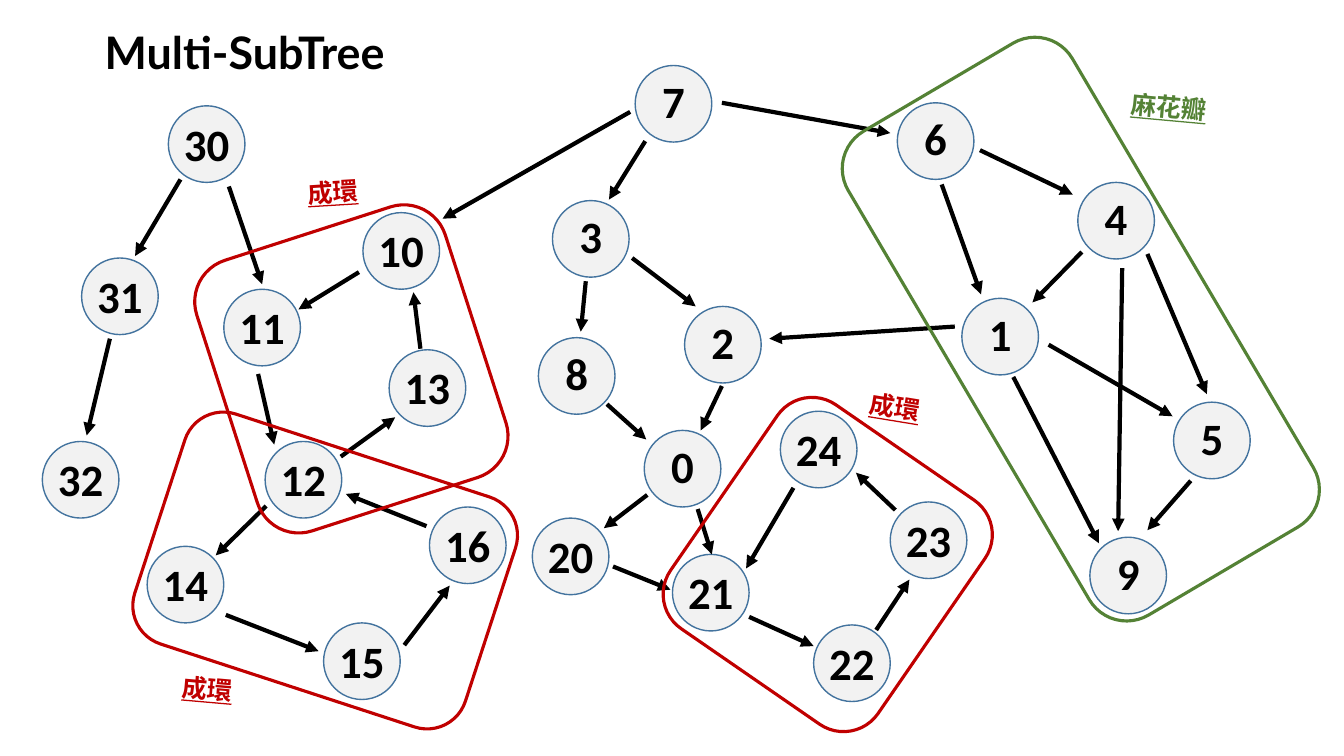
"""Build the Multi-SubTree graph slide."""
from dataclasses import dataclass

from lxml import etree
from pptx import Presentation
from pptx.dml.color import RGBColor
from pptx.enum.shapes import MSO_CONNECTOR, MSO_SHAPE
from pptx.enum.text import MSO_ANCHOR, MSO_AUTO_SIZE, PP_ALIGN
from pptx.oxml.ns import qn
from pptx.util import Inches, Pt

ELLIPSE = MSO_SHAPE.OVAL
ROUNDED = MSO_SHAPE.ROUNDED_RECTANGLE
STRAIGHT = MSO_CONNECTOR.STRAIGHT
MIDDLE = MSO_ANCHOR.MIDDLE
FIT_TEXT = MSO_AUTO_SIZE.SHAPE_TO_FIT_TEXT
CENTER = PP_ALIGN.CENTER
LEFT = PP_ALIGN.LEFT

SLIDE_WIDTH, SLIDE_HEIGHT = Inches(13.33), Inches(7.5)
COLUMNS, ROWS = 133.3, 75
NODE_SIZE = 7.6


@dataclass(frozen=True)
class Theme:
    """Colours, fonts and sizes of the slide."""
    ink: RGBColor = RGBColor(0, 0, 0)
    node_fill: RGBColor = RGBColor(0xF2, 0xF2, 0xF2)
    node_line: RGBColor = RGBColor(0x43, 0x73, 0x9E)
    ring: RGBColor = RGBColor(0xC0, 0, 0)
    petal: RGBColor = RGBColor(0x54, 0x82, 0x35)
    title_font: str = "Lato"
    node_font: str = "Calibri"
    label_font: str = "Noto Sans CJK SC"
    large: Pt = Pt(32)
    small: Pt = Pt(18)
    node_width: Pt = Pt(1)
    region_width: Pt = Pt(2.25)
    arrow_width: Pt = Pt(3)


THEME = Theme()

NODES = {
    "7": (63, 6.5), "3": (54.8, 19.9), "8": (53.4, 33.5), "2": (67.9, 30.4),
    "0": (63.9, 42.7), "6": (89, 10.2), "1": (95.4, 29.6), "4": (106.9, 18.1),
    "5": (116.4, 39.9), "9": (108.1, 53.3), "10": (36, 21.1), "11": (22.2, 28.7),
    "12": (26.3, 43.8), "13": (38.6, 34.7), "14": (14.6, 54.2), "15": (32.1, 61.8),
    "16": (42.6, 50.3), "20": (52.8, 51.4), "21": (66.7, 55), "22": (80.7, 62),
    "23": (88.3, 49.8), "24": (77.4, 40.8), "30": (16.7, 10.5), "31": (8.1, 25.6),
    "32": (4.2, 43.8),
}

ARROWS = {
    ("7", "3"): (64, 14, 60.4, 19.8),
    ("7", "10"): (62.5, 11.1, 43.9, 21.7),
    ("7", "6"): (71.6, 10.2, 88.3, 13.2),
    ("10", "11"): (35.6, 27, 29.6, 30.7),
    ("13", "10"): (41.7, 34.6, 41, 29),
    ("11", "12"): (25.6, 37.1, 27.2, 44.1),
    ("12", "13"): (33.8, 45.3, 39.2, 41.4),
    ("12", "14"): (26.4, 50.2, 21.4, 55.1),
    ("14", "15"): (22.4, 61, 31.6, 64.6),
    ("15", "16"): (40.1, 64, 44.6, 58.1),
    ("16", "12"): (42.3, 52.2, 34.3, 49),
    ("3", "8"): (58.1, 27.9, 57.6, 32.9),
    ("3", "2"): (62.7, 25.6, 69, 30.4),
    ("8", "0"): (60.2, 40.1, 64.1, 43.6),
    ("2", "0"): (71.6, 38.3, 69.5, 42.7),
    ("0", "20"): (64.2, 49.1, 59.9, 52.4),
    ("20", "21"): (60.8, 56.2, 66.5, 58.5),
    ("0", "21"): (69.2, 50.5, 70.6, 55),
    ("21", "22"): (74.3, 61.2, 80.7, 64.1),
    ("22", "23"): (86.9, 62.5, 90.2, 57.5),
    ("23", "24"): (88.8, 50.6, 84.9, 46.9),
    ("24", "21"): (78.7, 48.4, 74, 56.4),
    ("6", "4"): (97.2, 14.9, 106.4, 19.3),
    ("6", "1"): (93.4, 18.3, 97.3, 29.2),
    ("1", "9"): (100.5, 37.4, 109, 53.9),
    ("1", "5"): (104, 34.2, 116.3, 41.3),
    ("1", "2"): (94.7, 32.4, 76.3, 33.6),
    ("4", "5"): (113.8, 25.2, 119.7, 39.1),
    ("5", "9"): (118.1, 47.7, 113.8, 52.6),
    ("4", "9"): (111.3, 26.6, 110.9, 52.7),
    ("4", "1"): (107.3, 25, 102.4, 30),
    ("30", "11"): (22.7, 18.5, 26, 28.2),
    ("30", "31"): (17.9, 17.8, 13.4, 25.4),
    ("31", "32"): (10.9, 33.6, 8.6, 43.2),
}

REGIONS = [
    ((15, 44.6, 34.5, 24), 18.1, THEME.ring),
    ((21.9, 22.5, 25.9, 28.2), 342.1, THEME.ring),
    ((68.6, 43.5, 27, 25), 304.6, THEME.ring),
    ((94.3, 4.8, 25.8, 55.7), 329.5, THEME.petal),
]

LABELS = [
    ("麻花瓣", (111.2, 8.6, 9.6, 4), 5.3, THEME.petal),
    ("成環", (29.5, 17, 7.1, 4), 356.5, THEME.ring),
    ("成環", (85.3, 38.4, 7.1, 4), 9.3, THEME.ring),
    ("成環", (17.1, 66.3, 7.1, 4), 5, THEME.ring),
]


def place(box):
    """Turn pairs of grid columns and rows into slide lengths."""
    shares = (SLIDE_WIDTH / COLUMNS, SLIDE_HEIGHT / ROWS) * 2
    return [round(cells * share) for cells, share in zip(box, shares)]


def write(shape, text, font_name, size, color, alignment=LEFT, underline=None):
    """Put one bold line of text in a shape."""
    frame = shape.text_frame
    frame.text = text
    frame.word_wrap = False
    paragraph = frame.paragraphs[0]
    paragraph.alignment = alignment
    run = paragraph.runs[0]
    font = run.font
    font.name, font.size, font.bold, font.underline = font_name, size, True, underline
    font.color.rgb = color
    east_asian = etree.SubElement(run._r.get_or_add_rPr(), qn("a:ea"))
    east_asian.set("typeface", font_name)


def add_node(slide, name, position):
    """Draw a numbered circle."""
    node = slide.shapes.add_shape(ELLIPSE, *place((*position, NODE_SIZE, NODE_SIZE)))
    node.shadow.inherit = False
    node.fill.solid()
    node.fill.fore_color.rgb = THEME.node_fill
    node.line.color.rgb = THEME.node_line
    node.line.width = THEME.node_width
    write(node, name, THEME.node_font, THEME.large, THEME.ink, CENTER)
    frame = node.text_frame
    frame.vertical_anchor = MIDDLE
    frame.margin_left = frame.margin_right = frame.margin_top = 0
    frame.margin_bottom = Inches(0.06 if len(name) == 1 else 0.02)


def add_arrow(slide, ends):
    """Draw a straight arrow between two grid points."""
    arrow = slide.shapes.add_connector(STRAIGHT, *place(ends))
    arrow.line.color.rgb = THEME.ink
    arrow.line.width = THEME.arrow_width
    head = etree.SubElement(arrow.line._get_or_add_ln(), qn("a:tailEnd"))
    head.set("type", "triangle")
    etree.SubElement(arrow._element.spPr, qn("a:effectLst"))


def add_region(slide, box, rotation, color):
    """Outline a subtree with a turned rounded rectangle."""
    region = slide.shapes.add_shape(ROUNDED, *place(box))
    region.shadow.inherit = False
    region.rotation = rotation
    region.fill.background()
    region.line.color.rgb = color
    region.line.width = THEME.region_width


def add_text(slide, text, box, font_name, size, color, rotation=0, underline=None):
    """Add a free line of text."""
    text_box = slide.shapes.add_textbox(*place(box))
    text_box.rotation = rotation
    write(text_box, text, font_name, size, color, underline=underline)
    text_box.text_frame.auto_size = FIT_TEXT


def main():
    """Assemble and save the slide."""
    presentation = Presentation()
    presentation.slide_width, presentation.slide_height = SLIDE_WIDTH, SLIDE_HEIGHT
    slide = presentation.slides.add_slide(presentation.slide_layouts[6])
    for name, position in NODES.items():
        add_node(slide, name, position)
    for ends in ARROWS.values():
        add_arrow(slide, ends)
    for box, rotation, color in REGIONS:
        add_region(slide, box, rotation, color)
    for text, box, rotation, color in LABELS:
        add_text(slide, text, box, THEME.label_font, THEME.small, color, rotation, True)
    add_text(slide, "Multi-SubTree", (9.4, 2, 30.7, 6.4),
             THEME.title_font, THEME.large, THEME.ink)
    presentation.save("out.pptx")


if __name__ == "__main__":
    main()
